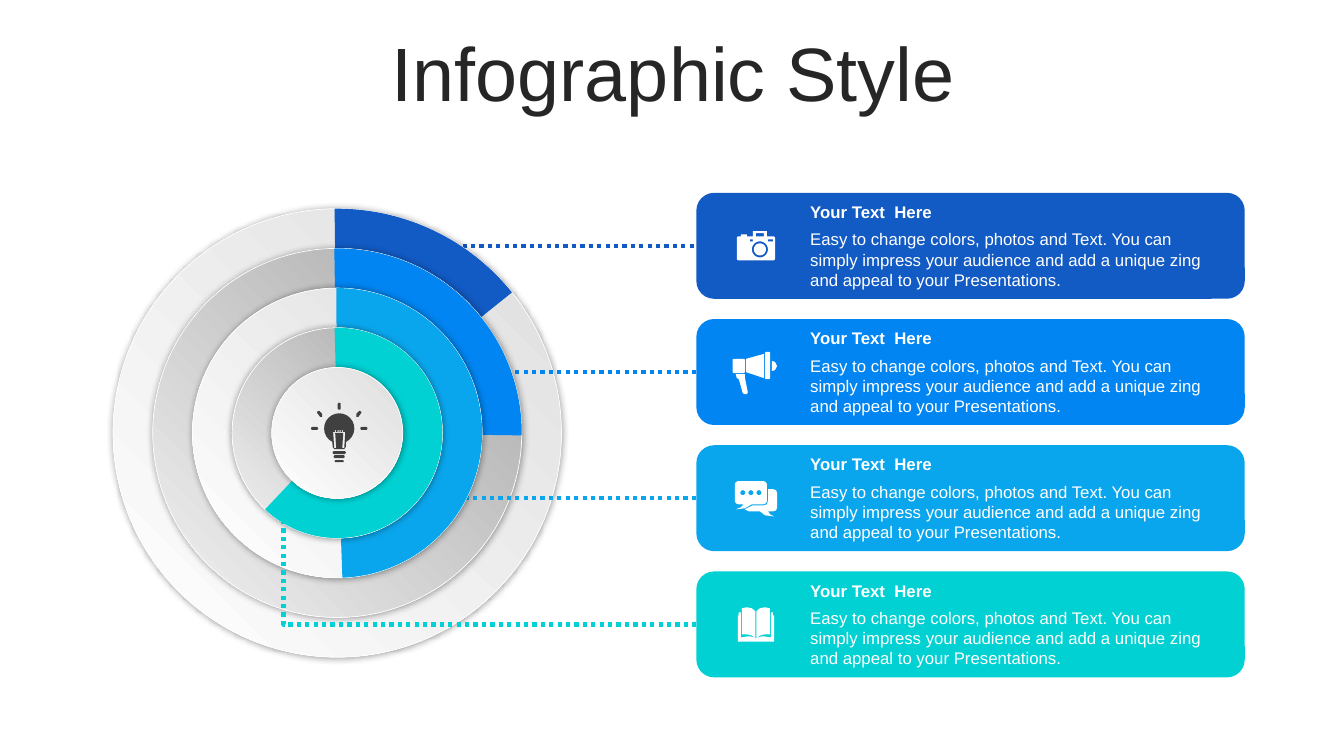
import math

import pptx
import pptx.dml.color
import pptx.enum.dml
import pptx.enum.shapes
import pptx.enum.text
import pptx.oxml
import pptx.oxml.ns
import pptx.util
from lxml import etree

Cm = pptx.util.Cm
Pt = pptx.util.Pt
Kind = pptx.enum.shapes.MSO_SHAPE
Link = pptx.enum.shapes.MSO_CONNECTOR
qn = pptx.oxml.ns.qn

COLORS = {
    "navy": "125AC4", "blue": "0085F2", "sky": "0AA6ED", "teal": "01D1D3",
    "white": "FFFFFF", "black": "000000", "ink": "262626", "bulb": "404040",
    "light": "DEDEDE", "grey": "A6A6A6", "pale": "F2F2F2",
}
BODY = ("Easy to change colors, photos and Text. You can simply impress your "
        "audience and add a unique zing and appeal to your Presentations.")


def arc(x, y, r, start, end):
    """Points along a circle, in degrees clockwise from the right."""
    steps = max(4, round((end - start) / 15))
    turns = [math.radians(start + (end - start) * i / steps) for i in range(steps + 1)]
    return [(x + r * math.cos(t), y + r * math.sin(t)) for t in turns]


def bar(x, y, w, h, r=0):
    """Outline of a rectangle with corners of radius r."""
    return (arc(x + r, y + r, r, 180, 270) + arc(x + w - r, y + r, r, 270, 360)
            + arc(x + w - r, y + h - r, r, 0, 90) + arc(x + r, y + h - r, r, 90, 180))


def disc(x, y, r):
    return arc(x, y, r, 0, 360)


def flip(points):
    return [(-x, y) for x, y in points]


def mirror(half):
    """Close a left half with its reflection."""
    return half + flip(half)[::-1]


# Icon outlines in hundredths of an inch around the icon's centre
CAMERA = [
    bar(-19, -9.5, 38, 24, 2), bar(-15, -11.5, 6, 2),
    [(-3, -9.5), (-3, -14.5), (11, -14.5), (11, -9.5),
     (8, -9.5), (8, -12.5), (0, -12.5), (0, -9.5)],
    bar(-6, -6.5, 3, 2), bar(12, -6.5, 5, 2), disc(4, 3.5, 8), disc(4, 3.5, 6),
]
HORN = [
    [(-11, 2), (-11, 5), (-8, 20), (-9, 22), (-11, 22), (-13, 21),
     (-17, 7), (-19, 6), (-20, 2)],
    [(16, -11), (19, -10), (21, -6), (19, -2), (16, -1)],
    bar(-23, -13, 12, 14, 1), [(8, -18), (8, 6), (-10, 0), (-10, -13)],
    bar(9, -20, 5, 27, 1),
]
CHAT = [
    bar(-21, -17, 32, 23, 4), [(-4, 6), (-12, 6), (-15, 9), (-20, 11), (-11, 10)],
    *[disc(x, -5.5, 2.5) for x in (-13, -5, 3)],
    [(12, -9), (17, -9), (20, -8), (21, -5), (21, 9), (20, 12), (17, 13),
     (12, 13), (14, 16), (18, 18), (9, 17), (4, 13), (-7, 13), (-11, 11),
     (-3, 7), (8, 7), (11, 6), (12, 2)],
]
PAGE = [(-0.5, 14), (-4, 11), (-8, 10), (-14, 10), (-14, -16), (-9, -17),
        (-4, -16), (-0.5, -13)]
COVER = [(0, 14), (-5, 12), (-9, 12), (-15, 13), (-15, -12), (-17, -12),
         (-17, -9), (-18, -9), (-18, 17)]
BOOK = [PAGE, flip(PAGE), mirror(COVER)]
RAY = [(-22, -21), (-20, -22), (-17, -19), (-17, -16), (-19, -16), (-22, -20)]
WIRE = [(-0.5, -1), (-0.5, -3), (-1.5, -3), (-1.5, -1), (-3, -1), (-3, -3),
        (-4, -3), (-4, -1), (-6, -1), (-5, 15), (-3, 15), (-4, 0), (0, 0)]
BULB = [
    arc(0, -4.5, 15, 117, 423) + [(6.5, 14), (5, 16), (-5, 16), (-6.5, 14)],
    mirror(WIRE), RAY, flip(RAY), bar(-1.5, -30, 3, 7, 1.5),
    bar(-28, -6, 7, 3, 1.5), bar(21, -6, 7, 3, 1.5),
    bar(-6.5, 18, 13, 3, 1.5), bar(-5.5, 22, 11, 3, 1.5), bar(-4.5, 27, 9, 2, 1),
]


class Sheet:
    """Draws on one slide; all lengths are in centimetres."""

    font = "Arial"

    def __init__(self, deck):
        self.shapes = deck.slides.add_slide(deck.slide_layouts[6]).shapes

    def tint(self, name):
        return pptx.dml.color.RGBColor.from_string(COLORS[name])

    def paint(self, shape, color):
        shape.fill.solid()
        shape.fill.fore_color.rgb = self.tint(color)
        shape.line.fill.background()
        shape.shadow.inherit = False

    def text(self, x, y, w, h, words, size, color, bold=False):
        box = self.shapes.add_textbox(Cm(x), Cm(y), Cm(w), Cm(h))
        box.text_frame.word_wrap = True
        line = box.text_frame.paragraphs[0]
        line.text = words
        line.font.name = self.font
        line.font.size = Pt(size)
        line.font.bold = bold
        line.font.color.rgb = self.tint(color)
        return box.text_frame

    def panel(self, x, y, w, h, color):
        shape = self.shapes.add_shape(Kind.ROUNDED_RECTANGLE, Cm(x), Cm(y), Cm(w), Cm(h))
        self.paint(shape, color)
        return shape

    def round(self, kind, x, y, size):
        """Add a shape of equal sides around a centre."""
        return self.shapes.add_shape(
            kind, Cm(x - size / 2), Cm(y - size / 2), Cm(size), Cm(size))

    def ring(self, x, y, size, shades):
        shape = self.round(Kind.OVAL, x, y, size)
        shape.fill.gradient()
        shape.fill.gradient_angle = 225
        for stop, shade in zip(shape.fill.gradient_stops, shades):
            stop.color.rgb = self.tint(shade)
        shape.line.color.rgb = self.tint("white")
        shape.line.width = Pt(0.5)
        shape.shadow.inherit = False
        glow = etree.SubElement(
            shape._element.spPr.find(qn("a:effectLst")), qn("a:outerShdw"),
            blurRad=str(Pt(5)), dist="0", dir="0", algn="ctr", rotWithShape="0")
        tone = etree.SubElement(glow, qn("a:srgbClr"), val=COLORS["black"])
        etree.SubElement(tone, qn("a:alpha"), val="40000")

    def wedge(self, x, y, size, start, end, color):
        shape = self.round(Kind.PIE, x, y, size)
        for i, angle in enumerate((start, end)):
            shape.adjustments[i] = angle * 0.6
        self.paint(shape, color)

    def dots(self, kind, x1, y1, x2, y2, color):
        line = self.shapes.add_connector(kind, Cm(x1), Cm(y1), Cm(x2), Cm(y2))
        line.line.color.rgb = self.tint(color)
        line.line.width = Pt(3)
        line.line.dash_style = pptx.enum.dml.MSO_LINE.ROUND_DOT
        etree.SubElement(line._element.spPr, qn("a:effectLst"))
        return line

    def icon(self, x, y, parts, color):
        fine = 20
        parts = [[(px * fine, py * fine) for px, py in part] for part in parts]
        pen = self.shapes.build_freeform(*parts[0][0], scale=Cm(0.0254) / fine)
        for i, part in enumerate(parts):
            if i:
                pen.move_to(*part[0])
            pen.add_line_segments(part[1:], close=True)
        self.paint(pen.convert_to_shape(Cm(x), Cm(y)), color)


def main():
    deck = pptx.Presentation()
    deck.slide_width, deck.slide_height = Cm(33.87), Cm(19.05)
    sheet = Sheet(deck)

    title = sheet.text(0.89, 0.94, 32.16, 2.01, "Infographic Style", 54, "ink")
    title.vertical_anchor = pptx.enum.text.MSO_ANCHOR.MIDDLE
    title.paragraphs[0].alignment = pptx.enum.text.PP_ALIGN.CENTER
    title.paragraphs[0].line_spacing = 0.9

    left, top, wide, high, pitch = 17.55, 4.86, 13.82, 2.67, 3.18
    hub_x, hub_y, outer, step = 8.5, 10.91, 11.3, 2
    bright, dark = ("light", "white"), ("grey", "pale")
    # colour, icon, wedge start and end in degrees, start of the dotted line
    items = [
        ("navy", CAMERA, 269.33, 321.19, 11.02),
        ("blue", HORN, 269.1, 0.77, 11.5),
        ("sky", CHAT, 269.61, 87.97, 11.5),
        ("teal", BOOK, 268.59, 133.32, None),
    ]
    tops = [top + i * pitch for i in range(len(items))]
    panels = [sheet.panel(left, y, wide, high, item[0]) for y, item in zip(tops, items)]

    for i, (color, _, start, end, tip) in enumerate(items):
        if tip:
            mid = tops[i] + high / 2
            line = sheet.dots(Link.STRAIGHT, tip, mid, left, mid, color)
            line.end_connect(panels[i], 1)
        size = outer - i * step
        sheet.ring(hub_x, hub_y, size, dark if i % 2 else bright)
        sheet.wedge(hub_x, hub_y, size, start, end, color)
    sheet.ring(hub_x, hub_y, outer - len(items) * step, bright)

    bend = sheet.dots(Link.ELBOW, 7.04, 13.08, left, tops[-1] + high / 2, "teal")
    bend._element.spPr.find(qn("a:xfrm")).set("rot", "10800000")
    guides = bend._element.spPr.find(qn("a:prstGeom")).find(qn("a:avLst"))
    etree.SubElement(guides, qn("a:gd"), name="adj1", fmla="val 99000")

    for y, item in zip(tops, items):
        sheet.text(20.17, y + 0.1, 10.64, 0.76, "Your Text  Here", 12, "white", True)
        sheet.text(20.17, y + 0.79, 10.64, 1.8, BODY, 12, "white")
        sheet.icon(19.05, y + high / 2, item[1], "white")
    sheet.icon(8.55, hub_y, BULB, "bulb")

    deck.save("out.pptx")


if __name__ == "__main__":
    main()
